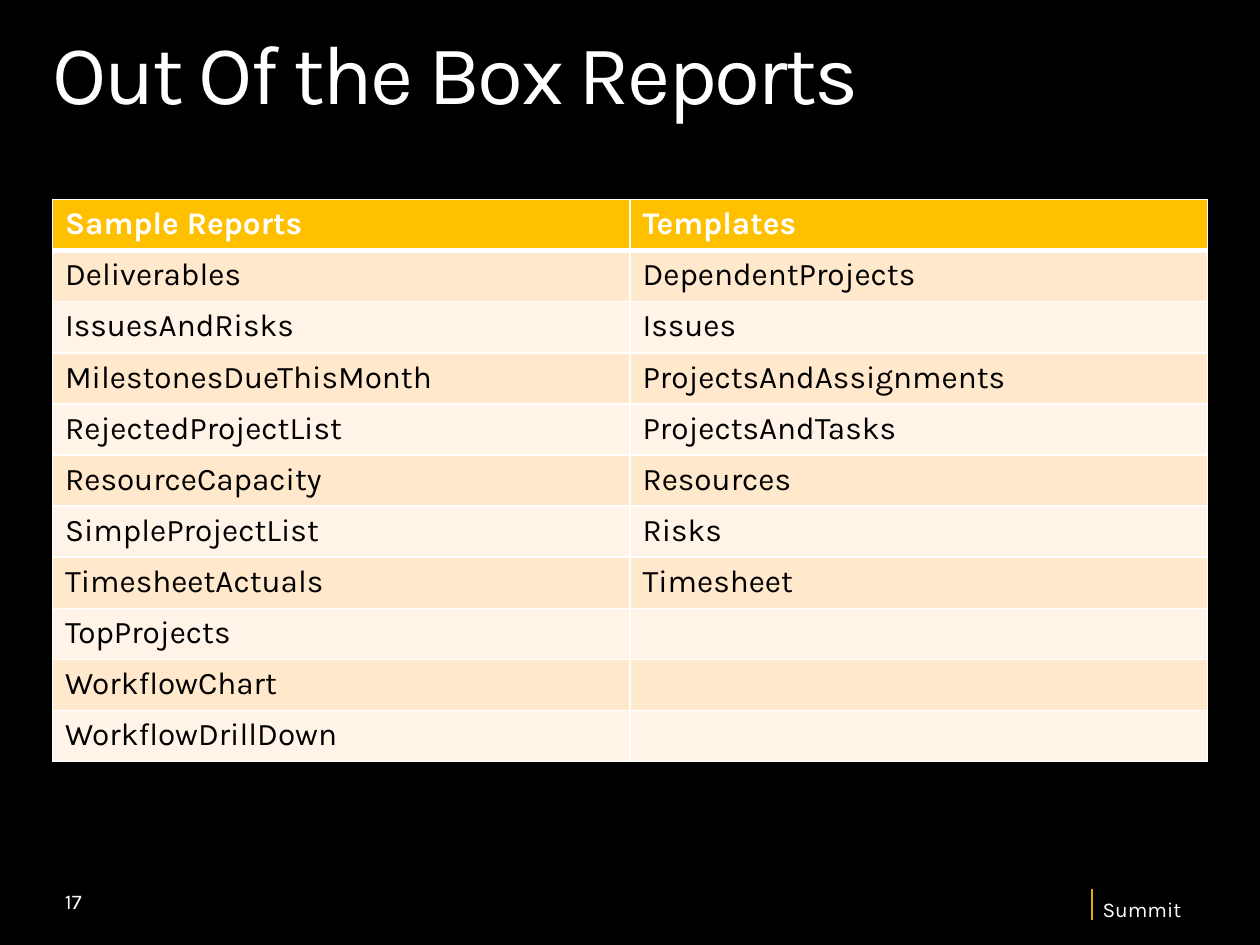
import itertools

import pptx
import pptx.dml.color
import pptx.enum.text
import pptx.oxml
import pptx.oxml.ns
import pptx.util

Pt = pptx.util.Pt
REPORTS = ["Deliverables", "IssuesAndRisks", "MilestonesDueThisMonth", "RejectedProjectList",
           "ResourceCapacity", "SimpleProjectList", "TimesheetActuals", "TopProjects",
           "WorkflowChart", "WorkflowDrillDown"]
TEMPLATES = ["DependentProjects", "Issues", "ProjectsAndAssignments", "ProjectsAndTasks",
             "Resources", "Risks", "Timesheet"]


def rgb(value):
    return pptx.dml.color.RGBColor.from_string(value)


class Deck:
    """Holds the style and the current slide, and adds elements to it."""

    font, white, black, gold, accent = "Karla", "FFFFFF", "000000", "FFC000", "E7AE00"
    bands = ("FFE8CC", "FFF4E7")

    def __init__(self, prs):
        self.slide = prs.slides.add_slide(prs.slide_layouts[6])
        fill = self.slide.background.fill
        fill.solid()
        fill.fore_color.rgb = rgb(self.black)

    def style(self, p, size, color, bold=False):
        p.font.name = self.font
        p.font.size = Pt(size)
        p.font.bold = bold
        p.font.color.rgb = rgb(color)

    def text(self, text, x, y, w, h, size, inset=(0, 0), line_spacing=0.9, spacing=0, middle=False):
        tf = self.slide.shapes.add_textbox(Pt(x), Pt(y), Pt(w), Pt(h)).text_frame
        tf.word_wrap = True
        tf.margin_left = tf.margin_right = Pt(inset[0])
        tf.margin_top = tf.margin_bottom = Pt(inset[1])
        if middle:
            tf.vertical_anchor = pptx.enum.text.MSO_ANCHOR.MIDDLE
        p = tf.paragraphs[0]
        r = p.add_run()
        r.text = text
        p.line_spacing = line_spacing
        self.style(p, size, self.white)
        if spacing:
            r._r.get_or_add_rPr().set("spc", str(int(spacing * 100)))

    def line(self, x1, y1, x2, y2, color, width):
        sp = self.slide.shapes.add_connector(1, Pt(x1), Pt(y1), Pt(x2), Pt(y2))
        sp.line.color.rgb = rgb(color)
        sp.line.width = Pt(width)
        sp._element.spPr.append(pptx.oxml.parse_xml(
            f'<a:effectLst {pptx.oxml.ns.nsdecls("a")}/>'))

    def border(self, cell, side, width):
        cell._tc.get_or_add_tcPr().append(pptx.oxml.parse_xml(
            f'<a:ln{side} {pptx.oxml.ns.nsdecls("a")} w="{Pt(width)}">'
            f'<a:solidFill><a:srgbClr val="{self.white}"/></a:solidFill></a:ln{side}>'))

    def table(self, rows, x, y, w, row_height, size):
        shape = self.slide.shapes.add_table(
            len(rows), len(rows[0]), Pt(x), Pt(y), Pt(w), Pt(row_height * len(rows)))
        for row in shape.table.rows:
            row.height = Pt(row_height)
        for i, values in enumerate(rows):
            for j, value in enumerate(values):
                cell = shape.table.cell(i, j)
                for side in "LRTB":
                    heavy = (i, side) in ((0, "B"), (1, "T"))
                    self.border(cell, side, 3 if heavy else 1)
                cell.fill.solid()
                cell.fill.fore_color.rgb = rgb(self.bands[(i - 1) % 2] if i else self.gold)
                cell.text = value
                self.style(cell.text_frame.paragraphs[0], size,
                           self.black if i else self.white, bold=i == 0)


def main():
    prs = pptx.Presentation()
    prs.slide_width, prs.slide_height = Pt(720), Pt(540)
    deck = Deck(prs)
    deck.text("Summit", 630, 514, 60, 13, 12)
    deck.line(624, 508, 624, 526, deck.accent, 1.25)
    deck.text("Out Of the Box Reports", 30, 18, 660, 52.5, 48, spacing=-1.5)
    rows = [("Sample Reports", "Templates")]
    rows += itertools.zip_longest(REPORTS, TEMPLATES, fillvalue="")
    deck.table(rows, 30, 114, 660, 29.2, 18)
    deck.text("17", 30, 500.5, 168, 28.75, 12, inset=(7.2, 3.6), line_spacing=1.0, middle=True)
    prs.save("out.pptx")


if __name__ == "__main__":
    main()
